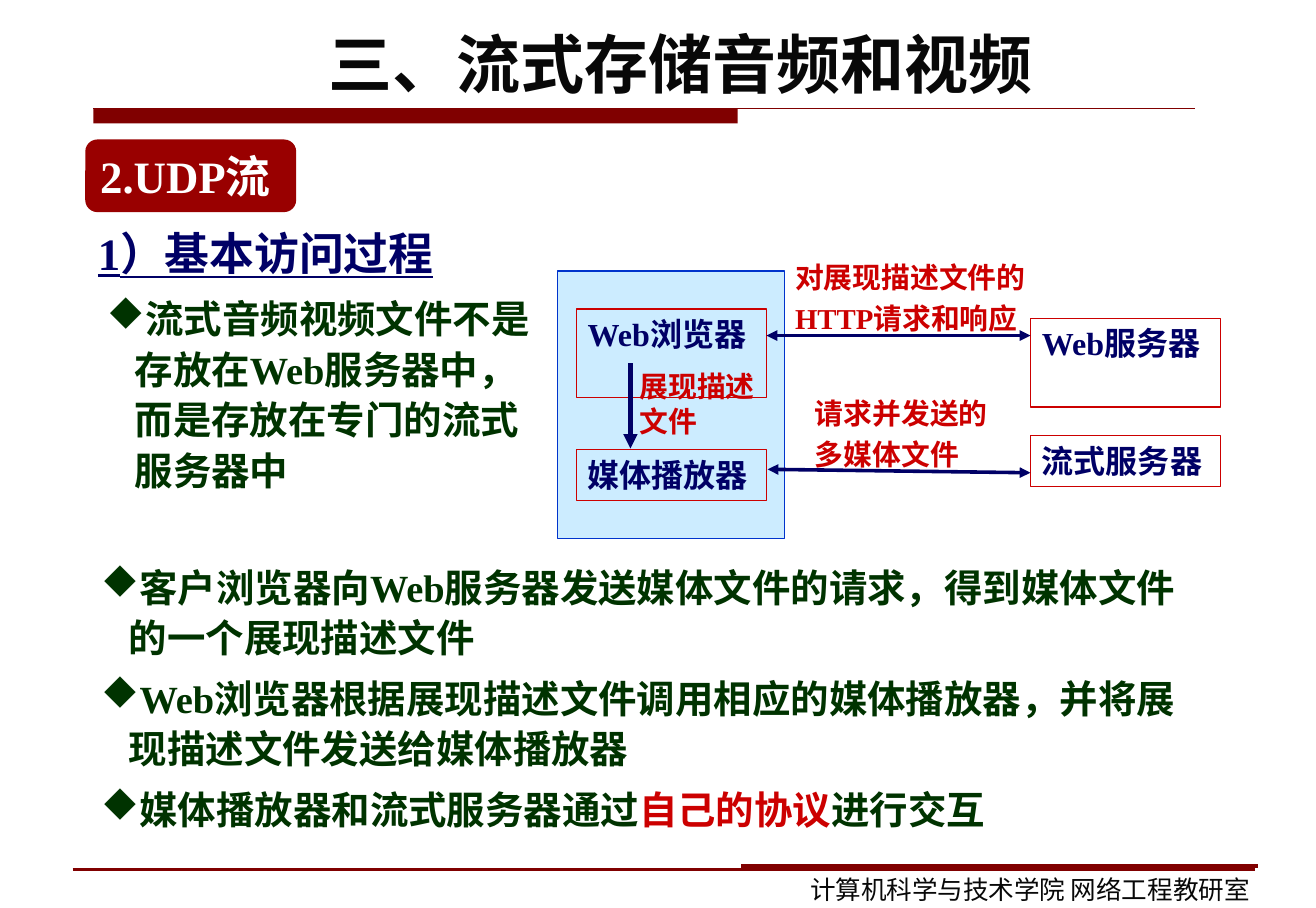
from dataclasses import dataclass
from typing import Optional

from lxml.etree import SubElement
from pptx import Presentation
from pptx.dml.color import RGBColor
from pptx.enum.shapes import MSO_CONNECTOR, MSO_SHAPE
from pptx.enum.text import MSO_ANCHOR, PP_ALIGN
from pptx.oxml.ns import qn
from pptx.util import Cm, Inches, Pt

NAVY, RED, MAROON, GREEN, BLACK = "000066", "CC0000", "800000", "003300", "080808"
SERIF = "Times New Roman"


@dataclass
class Box:
    left: float
    top: float
    width: float
    height: float
    text: str = ""
    size: float = 20
    color: str = NAVY
    spacing: float = 1.0
    font: str = SERIF
    bold: bool = True
    underline: bool = False
    align: PP_ALIGN = PP_ALIGN.LEFT
    anchor: MSO_ANCHOR = MSO_ANCHOR.TOP
    wrap: bool = True
    fill: Optional[str] = None
    line: Optional[str] = None
    shape: MSO_SHAPE = MSO_SHAPE.RECTANGLE


@dataclass
class Line:
    x1: float
    y1: float
    x2: float
    y2: float
    width: float
    color: str = MAROON
    ends: tuple[str, ...] = ()


@dataclass
class BulletList:
    left: float
    top: float
    width: float
    height: float
    items: list[list[tuple[str, str]]]


def rgb(color: str) -> RGBColor:
    return RGBColor.from_string(color)


def format_font(font, size: float, color: str, name: str, bold: bool) -> None:
    font.size = Pt(size)
    font.name = name
    font.bold = bold
    font.color.rgb = rgb(color)


def add_box(s, box: Box) -> None:
    place = [Inches(v) for v in (box.left, box.top, box.width, box.height)]
    if box.fill or box.line:
        sp = s.shapes.add_shape(box.shape, *place)
        sp.shadow.inherit = False
        if box.fill:
            sp.fill.solid()
            sp.fill.fore_color.rgb = rgb(box.fill)
        else:
            sp.fill.background()
        if box.line:
            sp.line.color.rgb = rgb(box.line)
            sp.line.width = Pt(0.75)
        else:
            sp.line.fill.background()
    else:
        sp = s.shapes.add_textbox(*place)
    if not box.text:
        return
    tf = sp.text_frame
    tf.text = box.text
    tf.word_wrap = box.wrap
    tf.vertical_anchor = box.anchor
    p = tf.paragraphs[0]
    p.alignment = box.align
    p.line_spacing = box.spacing
    r = p.runs[0]
    format_font(r.font, box.size, box.color, box.font, box.bold)
    r.font.underline = box.underline


def add_line(s, line: Line) -> None:
    ends = [Inches(v) for v in (line.x1, line.y1, line.x2, line.y2)]
    sp = s.shapes.add_connector(MSO_CONNECTOR.STRAIGHT, *ends)
    sp.line.color.rgb = rgb(line.color)
    sp.line.width = Pt(line.width)
    for end in line.ends:
        SubElement(sp.line._get_or_add_ln(), qn(f"a:{end}"), type="triangle")
    SubElement(sp._element.spPr, qn("a:effectLst"))


def add_bullets(s, bullets: BulletList) -> None:
    place = (bullets.left, bullets.top, bullets.width, bullets.height)
    tf = s.shapes.add_textbox(*[Inches(v) for v in place]).text_frame
    tf.word_wrap = True
    for i, item in enumerate(bullets.items):
        p = tf.add_paragraph() if i else tf.paragraphs[0]
        p.line_spacing = 1.1
        p.space_before = Pt(6 if i else 0)
        pPr = p._p.get_or_add_pPr()
        pPr.set("marL", str(Inches(0.24)))
        pPr.set("indent", str(-Inches(0.24)))
        SubElement(SubElement(pPr, qn("a:buClr")), qn("a:srgbClr"), val=GREEN)
        SubElement(pPr, qn("a:buFont"), typeface="Wingdings", charset="2")
        SubElement(pPr, qn("a:buChar"), char="u")
        for text, color in item:
            r = p.add_run()
            r.text = text
            format_font(r.font, 24, color, SERIF, True)


BOXES = [
    Box(0.81, 0.94, 5.59, 0.13, fill=MAROON),
    Box(0.67, 0.15, 10.47, 0.79, "三、流式存储音频和视频", 40, BLACK,
        align=PP_ALIGN.CENTER, anchor=MSO_ANCHOR.MIDDLE),
    Box(0.74, 1.21, 1.83, 0.63, "2.UDP流", 28, "FFFFFF", anchor=MSO_ANCHOR.MIDDLE,
        wrap=False, fill="990000", shape=MSO_SHAPE.ROUNDED_RECTANGLE),
    Box(0.75, 1.86, 9.92, 0.62, "1）基本访问过程", 28, spacing=1.1, underline=True),
    Box(4.84, 2.35, 1.97, 2.32, fill="CCECFF", line="0033CC"),
    Box(5, 2.68, 1.65, 0.77, "Web浏览器", line=RED),
    Box(5, 3.9, 1.65, 0.44, "媒体播放器", line=RED),
    Box(8.94, 2.76, 1.65, 0.77, "Web服务器", line=RED),
    Box(8.94, 3.78, 1.65, 0.44, "流式服务器", line=RED),
    Box(5.45, 3.15, 1.42, 0.7, "展现描述文件", 18, RED),
    Box(6.8, 2.14, 2.33, 0.82, "对展现描述文件的HTTP请求和响应", 18, RED, 1.2),
    Box(6.97, 3.32, 1.89, 0.82, "请求并发送的多媒体文件", 18, RED, 1.2),
    Box(6.93, 7.53, 4.2, 0.37, "计算机科学与技术学院 网络工程教研室", 16, BLACK,
        font="Arial", bold=False),
]

BOTH = ("headEnd", "tailEnd")
LINES = [
    Line(0.81, 0.94, 10.37, 0.94, 0.75),
    Line(5.47, 3.15, 5.47, 3.89, 3, NAVY, ("tailEnd",)),
    Line(6.65, 2.91, 8.94, 2.91, 2.25, NAVY, BOTH),
    Line(6.66, 4.07, 8.94, 4.1, 2.25, NAVY, BOTH),
    Line(0.63, 7.54, 10.89, 7.54, 1.5),
    Line(6.43, 7.51, 10.91, 7.51, 2.25),
]

BULLETS = [
    BulletList(0.83, 2.47, 3.94, 1.86, [
        [("流式音频视频文件不是存放在Web服务器中，而是存放在专门的流式服务器中", GREEN)],
    ]),
    BulletList(0.78, 4.8, 9.53, 2.47, [
        [("客户浏览器向Web服务器发送媒体文件的请求，得到媒体文件的一个展现描述文件", GREEN)],
        [("Web浏览器根据展现描述文件调用相应的媒体播放器，并将展现描述文件发送给媒体播放器", GREEN)],
        [("媒体播放器和流式服务器通过", GREEN), ("自己的协议", RED), ("进行交互", GREEN)],
    ]),
]


def main() -> None:
    prs = Presentation()
    prs.slide_width = Cm(29)
    prs.slide_height = Cm(20)
    s = prs.slides.add_slide(prs.slide_layouts[6])
    for box in BOXES:
        add_box(s, box)
    for line in LINES:
        add_line(s, line)
    for bullets in BULLETS:
        add_bullets(s, bullets)
    prs.save("out.pptx")


if __name__ == "__main__":
    main()
